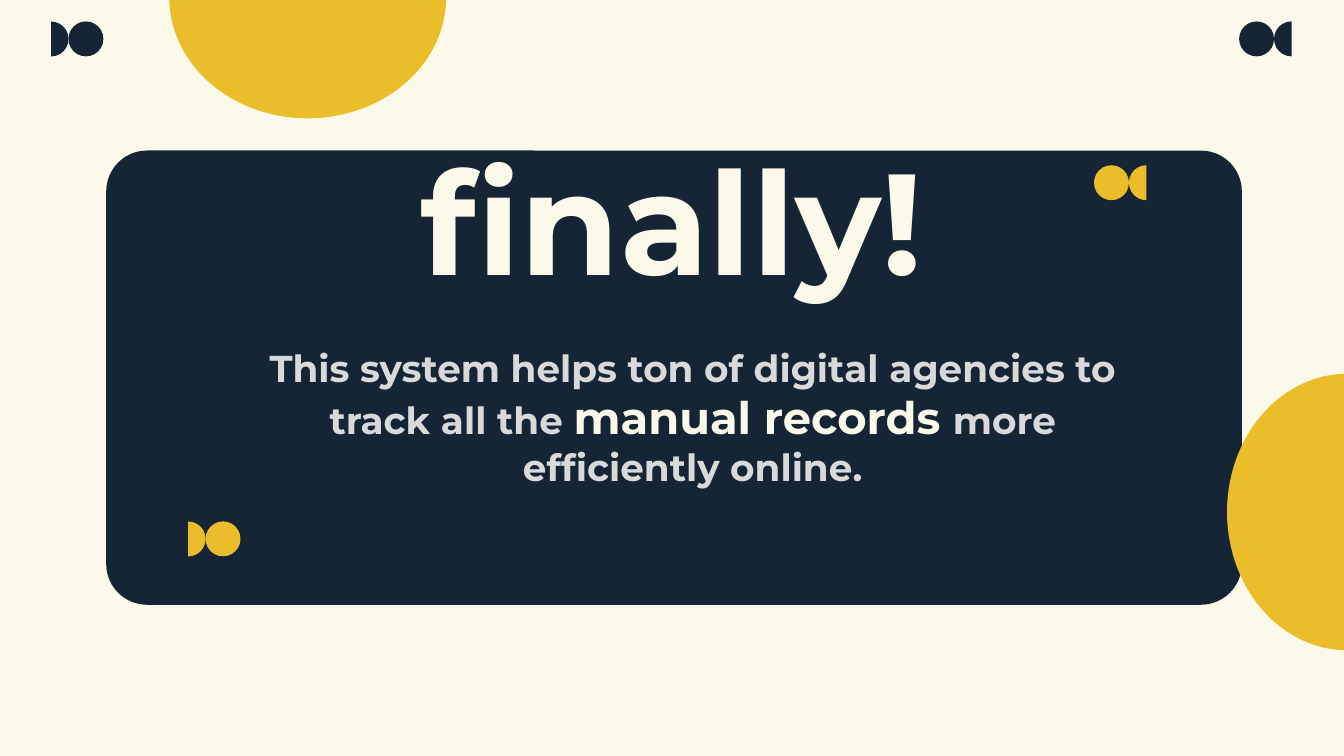
from pptx import Presentation
from pptx.dml.color import RGBColor
from pptx.enum.shapes import MSO_SHAPE
from pptx.enum.text import MSO_ANCHOR, MSO_AUTO_SIZE, PP_ALIGN
from pptx.util import Inches, Pt

PIE, OVAL, ROUNDED = MSO_SHAPE.PIE, MSO_SHAPE.OVAL, MSO_SHAPE.ROUNDED_RECTANGLE
CENTER, MIDDLE, TOP = PP_ALIGN.CENTER, MSO_ANCHOR.MIDDLE, MSO_ANCHOR.TOP
CREAM, NAVY, YELLOW, GREY = "FBF9EA", "162535", "ECBD2A", "D9D9D9"
FONT = "Montserrat"
TITLE_ONLY = 5
SLIDE_WIDTH = 10
SLIDE_HEIGHT = SLIDE_WIDTH * 9 / 16
LEFT_HALF = (54, 162)  # pie angles from 90 to 270 degrees
DOT = 0.26

# Content: runs are (text, size, colour)
TITLE = [("finally!", 77, CREAM)]
BODY = [
    ("This system helps ton of digital agencies to track all the ", 20, GREY),
    ("manual records ", 24, CREAM),
    ("more efficiently online.", 20, GREY),
]
# Big half discs: left, top, rotation
DISCS = [(9.13, 2.78, 0), (1.39, -1.05, 270)]
# Dot pairs: left, top, colour, whether the half dot comes first
DOT_PAIRS = [
    (0.25, 0.16, NAVY, True),
    (9.22, 0.16, NAVY, False),
    (8.14, 1.23, YELLOW, False),
    (1.27, 3.88, YELLOW, True),
]


def color(value):
    return RGBColor.from_string(value)


def add_figure(shapes, kind, box, fill, adjustments=(), rotation=0):
    shape = shapes.add_shape(kind, *map(Inches, box))
    for index, value in enumerate(adjustments):
        shape.adjustments[index] = value
    shape.rotation = rotation
    shape.fill.solid()
    shape.fill.fore_color.rgb = color(fill)
    shape.line.fill.background()
    shape.shadow.inherit = False


def write_text(shape, runs, anchor=TOP, margins=(0.1, 0.05, 0.1, 0.05), spacing=1.0):
    frame = shape.text_frame
    frame.word_wrap = True
    frame.auto_size = MSO_AUTO_SIZE.NONE
    frame.vertical_anchor = anchor
    (frame.margin_left, frame.margin_top,
     frame.margin_right, frame.margin_bottom) = map(Inches, margins)
    paragraph = frame.paragraphs[0]
    paragraph.alignment = CENTER
    paragraph.line_spacing = spacing
    paragraph.space_before = Pt(0)
    for text, size, fill in runs:
        run = paragraph.add_run()
        run.text = text
        run.font.name = FONT
        run.font.size = Pt(size)
        run.font.bold = True
        run.font.color.rgb = color(fill)


presentation = Presentation()
presentation.slide_width = Inches(SLIDE_WIDTH)
presentation.slide_height = Inches(SLIDE_HEIGHT)
slide = presentation.slides.add_slide(presentation.slide_layouts[TITLE_ONLY])
slide.background.fill.solid()
slide.background.fill.fore_color.rgb = color(CREAM)

# Card and big half discs
add_figure(slide.shapes, ROUNDED, (0.79, 1.12, 8.45, 3.38), NAVY, [0.09])
for left, top, rotation in DISCS:
    add_figure(slide.shapes, PIE, (left, top, 1.8, 2.06), YELLOW, LEFT_HALF, rotation)

# Title, brought in front of the card
title = slide.shapes.title
title.left, title.top, title.width, title.height = map(Inches, (1.98, 1.21, 6.04, 1.56))
write_text(title, TITLE, anchor=MIDDLE, margins=(0.1, 0.1, 0.1, 0.52), spacing=0.7)
slide.shapes.element.append(title.element)

# Dot pairs: a half dot facing a full dot
for left, top, fill, half_first in DOT_PAIRS:
    shapes = slide.shapes.add_group_shape().shapes
    half_left, full_left = (left, left + DOT) if half_first else (left + DOT, left)
    rotation = 180 if half_first else 0
    add_figure(shapes, PIE, (half_left, top, DOT, DOT), fill, LEFT_HALF, rotation)
    add_figure(shapes, OVAL, (full_left, top, DOT, DOT), fill)

# Body text
body = slide.shapes.add_textbox(*map(Inches, (1.66, 2.52, 6.99, 1.18)))
write_text(body, BODY)

presentation.save("out.pptx")
